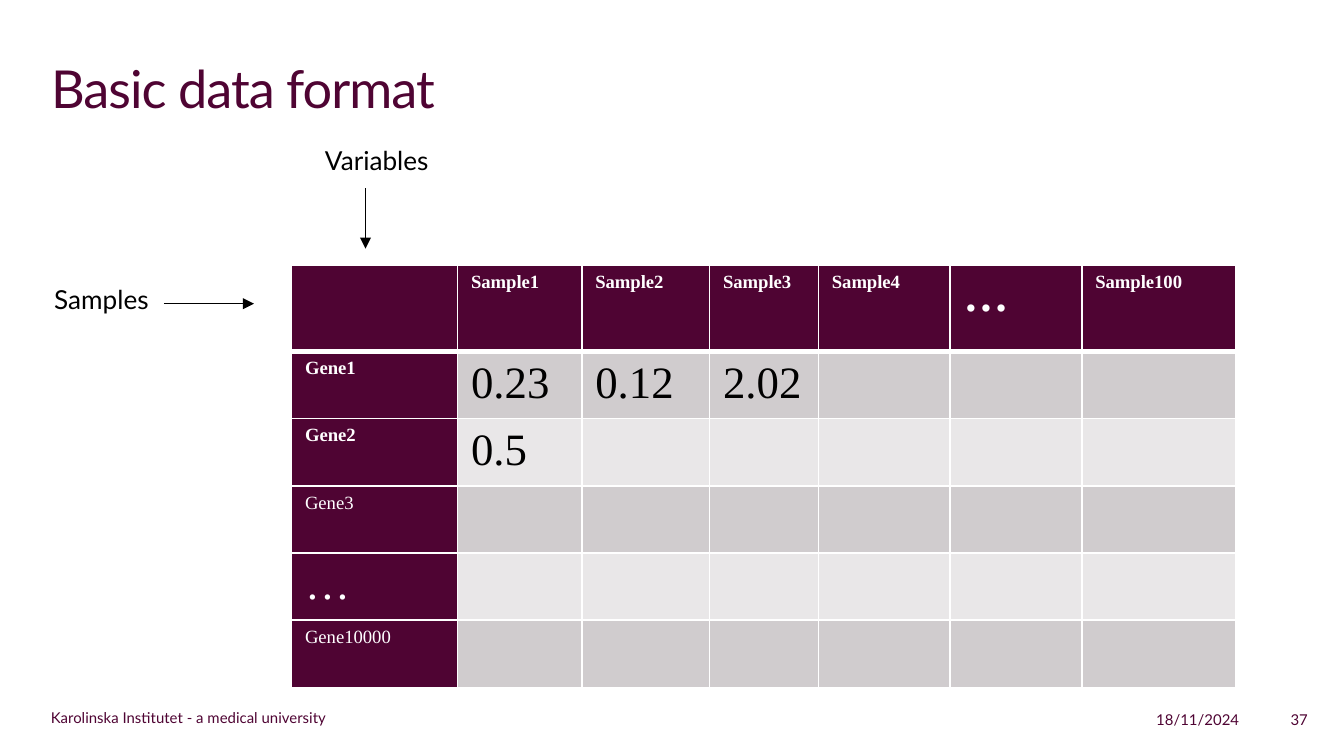
from dataclasses import dataclass

from lxml import etree
from pptx import Presentation, util as u
from pptx.dml.color import RGBColor
from pptx.enum import shapes, text
from pptx.oxml.ns import qn

# The 16:9 slide is a grid of square cells, 100 columns wide
CELL = u.Inches(0.1)
COLUMNS = 100
ROWS = COLUMNS * 9 / 16

PLUM, WHITE, BLACK = "4F0433", "FFFFFF", "000000"
BANDS = ("D0CCCE", "E9E7E8")
SANS, SERIF = "Lato", "Times New Roman"


@dataclass(frozen=True)
class Label:
    wording: str
    left: float
    top: float
    width: float
    height: float
    size: float = 8
    color: str = PLUM
    align: text.PP_ALIGN = text.PP_ALIGN.LEFT
    anchor: text.MSO_ANCHOR = text.MSO_ANCHOR.TOP
    wrap: bool = True


@dataclass(frozen=True)
class Arrow:
    left: float
    top: float
    right: float
    bottom: float


TITLE = Label("Basic data format", 2.8, 3.7, 94.4, 9.4, 28)
LABELS = (
    Label("Karolinska Institutet - a medical university", 2.8, 52.4, 24.4, 1.9,
          anchor=text.MSO_ANCHOR.MIDDLE),
    Label("18/11/2024", 72.4, 52.4, 20.8, 1.9, align=text.PP_ALIGN.RIGHT),
    Label("37", 90.8, 52.4, 7.5, 1.9, align=text.PP_ALIGN.RIGHT),
    Label("Samples", 3.05, 20.6, 10, 3.4, 14, BLACK),
    Label("Variables", 23.2, 10.25, 10.7, 3.4, 14, BLACK, wrap=False),
)
ARROWS = (Arrow(12.2, 22.6, 18.9, 22.6), Arrow(27.2, 14, 27.2, 18.5))

TABLE_LEFT, TABLE_TOP = 21.7, 19.7
COLUMN_WIDTHS = (12.35, 9.25, 9.5, 8.1, 9.8, 9.8, 11.45)
HEADER_HEIGHT, ROW_HEIGHT = 6.45, 5
SAMPLES = ("", "Sample1", "Sample2", "Sample3", "Sample4", "…", "Sample100")
GENES = (
    ("Gene1", "0.23", "0.12", "2.02"),
    ("Gene2", "0.5"),
    ("Gene3",),
    ("…",),
    ("Gene10000",),
)
BOLD_GENES = ("Gene1", "Gene2")


def cells(count: float) -> int:
    return round(count * CELL)


def rgb(color: str) -> RGBColor:
    return RGBColor.from_string(color)


def format_runs(paragraph, font: str, size: float, color: str, bold: bool = False) -> None:
    for run in paragraph.runs:
        run.font.name = font
        run.font.size = u.Pt(size)
        run.font.bold = bold
        run.font.color.rgb = rgb(color)


def fill_label(shape, label: Label) -> None:
    frame = shape.text_frame
    frame.text = label.wording
    frame.word_wrap = label.wrap
    frame.auto_size = text.MSO_AUTO_SIZE.NONE
    frame.vertical_anchor = label.anchor
    paragraph = frame.paragraphs[0]
    paragraph.alignment = label.align
    format_runs(paragraph, SANS, label.size, label.color)


def draw_title(slide, label: Label) -> None:
    title = slide.shapes.title
    title.left, title.top = cells(label.left), cells(label.top)
    title.width, title.height = cells(label.width), cells(label.height)
    fill_label(title, label)
    run = title.text_frame.paragraphs[0].runs[0]
    run.font._element.set("spc", "-50")


def draw_label(slide, label: Label) -> None:
    box = slide.shapes.add_textbox(cells(label.left), cells(label.top),
                                   cells(label.width), cells(label.height))
    fill_label(box, label)


def draw_arrow(slide, arrow: Arrow) -> None:
    connector = slide.shapes.add_connector(
        shapes.MSO_CONNECTOR.STRAIGHT, cells(arrow.left), cells(arrow.top),
        cells(arrow.right), cells(arrow.bottom))
    connector.line.color.rgb = rgb(BLACK)
    connector.line.width = u.Pt(0.75)
    etree.SubElement(connector.line._get_or_add_ln(), qn("a:tailEnd"), type="triangle")
    etree.SubElement(connector._element.spPr, qn("a:effectLst"))


def set_borders(cell, top: float, bottom: float) -> None:
    properties = cell._tc.get_or_add_tcPr()
    for side, width in (("L", 1), ("R", 1), ("T", top), ("B", bottom)):
        line = etree.SubElement(properties, qn(f"a:ln{side}"), w=str(u.Pt(width)))
        fill = etree.SubElement(line, qn("a:solidFill"))
        etree.SubElement(fill, qn("a:srgbClr"), val=WHITE)


def draw_cell(cell, wording: str, row: int, column: int) -> None:
    is_heading = row == 0 or column == 0
    set_borders(cell, top=3 if row == 1 else 1, bottom=3 if row == 0 else 1)
    cell.fill.solid()
    cell.fill.fore_color.rgb = rgb(PLUM if is_heading else BANDS[(row - 1) % 2])
    if wording:
        cell.text = wording
        format_runs(cell.text_frame.paragraphs[0], SERIF,
                    10 if is_heading and wording != "…" else 24,
                    WHITE if is_heading else BLACK,
                    row == 0 or wording in BOLD_GENES)


def draw_table(slide) -> None:
    rows = (SAMPLES, *GENES)
    heights = (HEADER_HEIGHT, *[ROW_HEIGHT] * len(GENES))
    table = slide.shapes.add_table(
        len(rows), len(SAMPLES), cells(TABLE_LEFT), cells(TABLE_TOP),
        cells(sum(COLUMN_WIDTHS)), cells(sum(heights))).table
    table.horz_banding = False
    for column, width in zip(table.columns, COLUMN_WIDTHS):
        column.width = cells(width)
    for row, (values, height) in enumerate(zip(rows, heights)):
        table.rows[row].height = cells(height)
        for column in range(len(SAMPLES)):
            wording = values[column] if column < len(values) else ""
            draw_cell(table.cell(row, column), wording, row, column)


def main() -> None:
    presentation = Presentation()
    presentation.slide_width, presentation.slide_height = cells(COLUMNS), cells(ROWS)
    slide = presentation.slides.add_slide(presentation.slide_layouts[5])

    # Title and expression table
    draw_title(slide, TITLE)
    draw_table(slide)

    # Footer, axis labels and their arrows
    for label in LABELS:
        draw_label(slide, label)
    for arrow in ARROWS:
        draw_arrow(slide, arrow)

    presentation.save("out.pptx")


if __name__ == "__main__":
    main()
